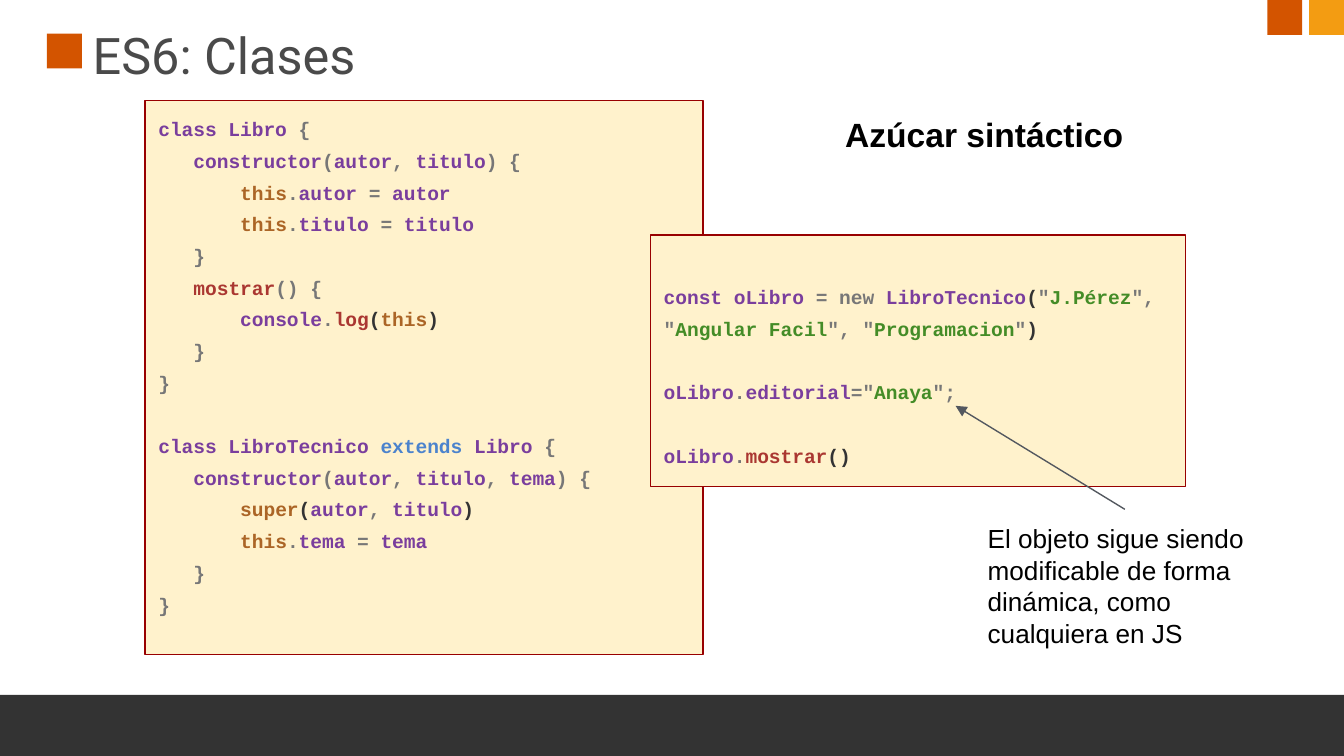
from dataclasses import dataclass
from functools import partial
from typing import NamedTuple

from lxml.etree import SubElement
from pptx import Presentation
from pptx.dml.color import RGBColor
from pptx.enum.shapes import MSO_CONNECTOR, MSO_SHAPE
from pptx.enum.text import MSO_ANCHOR, PP_ALIGN
from pptx.oxml.ns import qn
from pptx.util import Inches, Pt

ORANGE, AMBER, CHARCOAL = "D35400", "F39C12", "333333"
CREAM, MAROON = "FFF2CC", "980000"
CODE_LINE_HEIGHT = 17  # points, height of one line of code


class Run(NamedTuple):
    color: str
    text: str


class Box(NamedTuple):
    left: float
    top: float
    width: float
    height: float


@dataclass
class Line:
    runs: list[Run]
    space_before: float = 0


@dataclass
class CodePanel:
    box: Box
    top_inset: float
    lines: list[Line]


# Syntax colours
name = partial(Run, "7A3E9D")
mark = partial(Run, "777777")
plain = partial(Run, "333333")
keyword = partial(Run, "AB6526")
method = partial(Run, "AA3731")
string = partial(Run, "448C27")
modifier = partial(Run, "4B83CD")


def rgb(color: str) -> RGBColor:
    return RGBColor.from_string(color)


def add_rect(slide, box: Box, fill: str, outline: str | None = None):
    rect = slide.shapes.add_shape(MSO_SHAPE.RECTANGLE, *map(Inches, box))
    rect.shadow.inherit = False
    rect.fill.solid()
    rect.fill.fore_color.rgb = rgb(fill)
    if outline:
        rect.line.color.rgb = rgb(outline)
        rect.line.width = Pt(0.75)
    else:
        rect.line.fill.background()
    return rect


def write(frame, lines: list[Line], *, font: str, size: float, bold: bool = False,
          spacing: float = 1.0, inset: float = 0.1, top_inset: float | None = None) -> None:
    frame.word_wrap = True
    frame.vertical_anchor = MSO_ANCHOR.TOP
    frame.margin_left = frame.margin_right = frame.margin_bottom = Inches(inset)
    frame.margin_top = Inches(inset if top_inset is None else top_inset)
    for index, line in enumerate(lines):
        paragraph = frame.add_paragraph() if index else frame.paragraphs[0]
        paragraph.alignment = PP_ALIGN.LEFT
        paragraph.line_spacing = spacing
        if line.space_before:
            paragraph.space_before = Pt(line.space_before)
        for part in line.runs:
            run = paragraph.add_run()
            run.text = part.text
            run.font.name, run.font.size, run.font.bold = font, Pt(size), bold
            run.font.color.rgb = rgb(part.color)


def add_text(slide, box: Box, text: str, *, color: str = "000000", **text_format) -> None:
    frame = slide.shapes.add_textbox(*map(Inches, box)).text_frame
    write(frame, [Line([Run(color, text)])], **text_format)


def add_code_panel(slide, panel: CodePanel) -> None:
    rect = add_rect(slide, panel.box, CREAM, MAROON)
    write(rect.text_frame, panel.lines, font="Courier New", size=10.5, bold=True,
          spacing=1.35, top_inset=panel.top_inset)


def add_arrow(slide, start: tuple[float, float], end: tuple[float, float], color: str) -> None:
    arrow = slide.shapes.add_connector(MSO_CONNECTOR.STRAIGHT, *map(Inches, start + end))
    arrow.line.color.rgb = rgb(color)
    arrow.line.width = Pt(0.75)
    SubElement(arrow.line._get_or_add_ln(), qn("a:tailEnd"), type="triangle")
    SubElement(arrow._element.spPr, qn("a:effectLst"))


def constructor(*parameters: str) -> Line:
    runs = [plain("   "), name("constructor"), mark("(")]
    for index, parameter in enumerate(parameters):
        runs += [mark(", ")] * bool(index) + [name(parameter)]
    return Line(runs + [mark(") {")])


def assignment(field: str) -> Line:
    return Line([plain("       "), keyword("this"), mark("."), name(f"{field} "),
                 mark("= "), name(field)])


def closing(indent: str = "") -> Line:
    return Line([mark(indent + "}")])


CLASSES = CodePanel(Box(1.08, 0.75, 4.15, 4.12), 0.06, [
    Line([name("class Libro "), mark("{")]),
    constructor("autor", "titulo"),
    assignment("autor"),
    assignment("titulo"),
    closing("   "),
    Line([plain("   "), method("mostrar"), mark("() {")]),
    Line([plain("       "), name("console"), mark("."), method("log"), plain("("),
          keyword("this"), plain(")")]),
    closing("   "),
    closing(),
    Line([name("class LibroTecnico "), modifier("extends "), name("Libro "), mark("{")],
         CODE_LINE_HEIGHT),
    constructor("autor", "titulo", "tema"),
    Line([plain("       "), keyword("super"), plain("("), name("autor"), mark(", "),
          name("titulo"), plain(")")]),
    assignment("tema"),
    closing("   "),
    closing(),
])

USAGE = CodePanel(Box(4.84, 1.75, 3.98, 1.87), 0.31, [
    Line([name("const oLibro "), mark("= new "), name("LibroTecnico"), plain("("),
          mark('"'), string("J.Pérez"), mark('", "'), string("Angular Facil"),
          mark('", "'), string("Programacion"), mark('"'), plain(")")]),
    Line([name("oLibro"), mark("."), name("editorial"), mark('="'), string("Anaya"),
          mark('";')], CODE_LINE_HEIGHT),
    Line([name("oLibro"), mark("."), method("mostrar"), plain("()")], CODE_LINE_HEIGHT),
])


def main() -> None:
    deck = Presentation()
    # Widescreen format, 16:9
    deck.slide_width = Inches(10)
    deck.slide_height = Inches(10 * 9 / 16)
    slide = deck.slides.add_slide(deck.slide_layouts[6])

    # Decoration: title marker, corner squares and footer band
    for left, top, color in ((0.35, 0.25, ORANGE), (9.43, 0, ORANGE), (9.74, 0, AMBER)):
        add_rect(slide, Box(left, top, 0.26, 0.26), color)
    add_rect(slide, Box(-0.03, 5.17, 10.05, 0.46), CHARCOAL)

    # Title
    add_text(slide, Box(0.63, 0.12, 8.57, 0.59), "ES6: Clases", color="4A4A4A",
             font="Roboto", size=27, inset=0.06)

    # Code
    for panel in (CLASSES, USAGE):
        add_code_panel(slide, panel)

    # Remarks and pointer to the modified property
    add_text(slide, Box(6.19, 0.75, 2.45, 0.43), "Azúcar sintáctico",
             font="Arial", size=18, bold=True)
    add_text(slide, Box(7.25, 3.79, 2.25, 1.14),
             "El objeto sigue siendo modificable de forma dinámica, como cualquiera en JS",
             font="Arial", size=14)
    add_arrow(slide, (8.37, 3.79), (7.11, 3.02), "53585F")

    deck.save("out.pptx")


if __name__ == "__main__":
    main()
